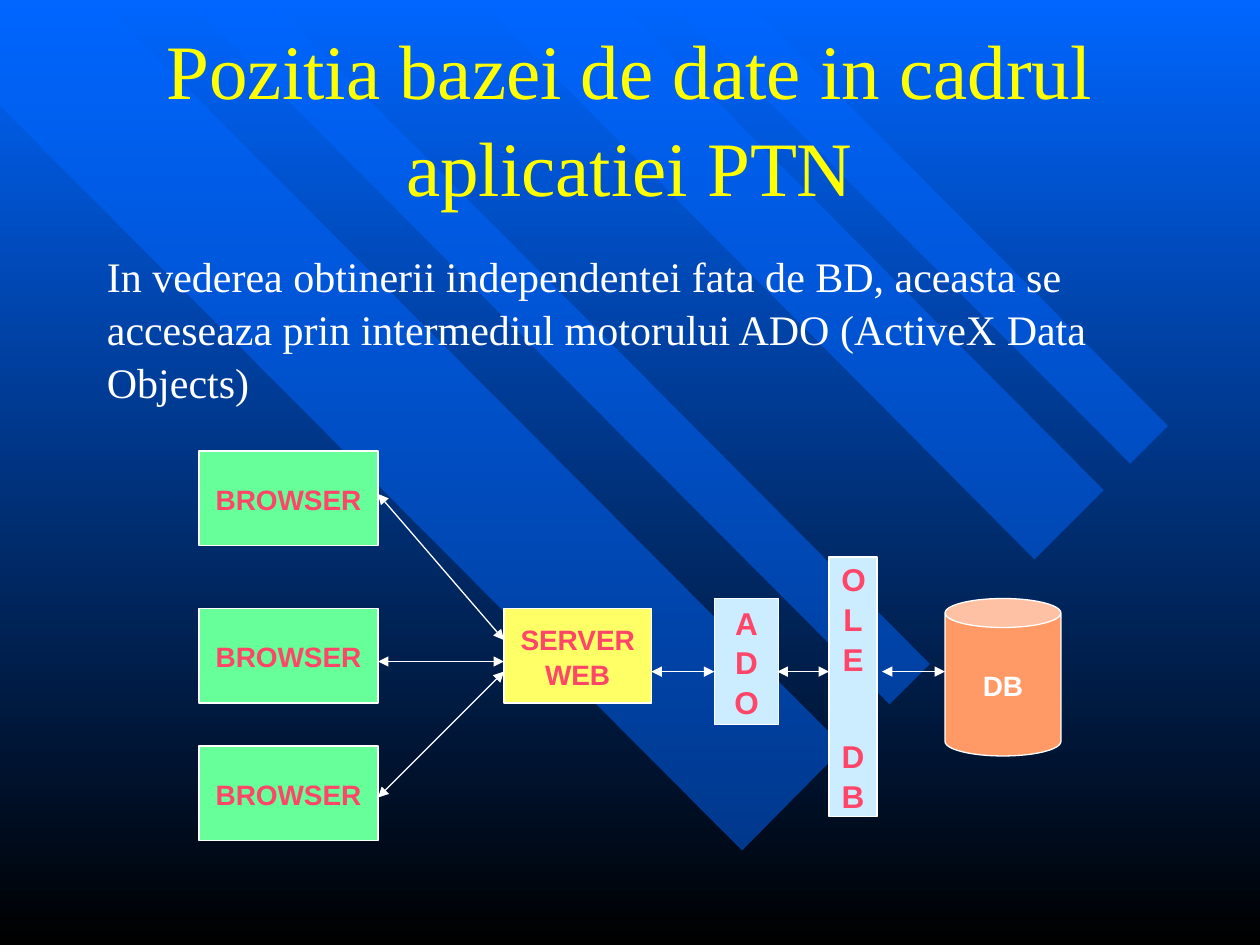
from dataclasses import dataclass

from lxml import etree
from pptx import Presentation
from pptx import util as u
from pptx.dml.color import RGBColor
from pptx.enum import shapes, text
from pptx.oxml.ns import qn


@dataclass(frozen=True)
class Theme:
    blue: str = "0066FF"
    black: str = "000000"
    white: str = "FFFFFF"
    title: str = "FFFF00"
    label: str = "FF4568"
    browser: str = "66FF99"
    server: str = "FFFF66"
    layer: str = "CCECFF"
    database: str = "FF9966"
    serif: str = "Times New Roman"
    sans: str = "Arial"
    title_size: float = 44
    body_size: float = 24
    box_size: float = 16
    layer_size: float = 18
    line_width: float = 0.75
    line_spacing: float = 1.05
    stripe_alpha: int = 50


class SlideBuilder:
    def __init__(self, slide, theme):
        self.slide = slide
        self.theme = theme

    def background(self):
        fill = self.slide.background.fill
        fill.gradient()
        fill.gradient_angle = 270
        for stop, color in zip(fill.gradient_stops, (self.theme.blue, self.theme.black)):
            stop.color.rgb = RGBColor.from_string(color)

    def stripe(self, points):
        """Draw a translucent diagonal band through points in inches."""
        start, *rest = [(u.Inches(x), u.Inches(y)) for x, y in points]
        builder = self.slide.shapes.build_freeform(*start)
        builder.add_line_segments(rest, close=True)
        sp = builder.convert_to_shape()
        sp.shadow.inherit = False
        sp.fill.solid()
        sp.fill.fore_color.rgb = RGBColor.from_string(self.theme.blue)
        color = sp._element.spPr.find(qn("a:solidFill"))[0]
        etree.SubElement(color, qn("a:alpha"), val=str(self.theme.stripe_alpha * 1000))
        sp.line.fill.background()

    def add_text(self, sp, lines, size, color, font, align, anchor, wrap,
                 bold=False, gap=0):
        tf = sp.text_frame
        tf.word_wrap = wrap
        tf.vertical_anchor = anchor
        for i, line in enumerate(lines):
            p = tf.paragraphs[0] if i == 0 else tf.add_paragraph()
            p.alignment = align
            p.line_spacing = self.theme.line_spacing
            if i and gap:
                p.space_before = u.Pt(gap)
            r = p.add_run()
            r.text = line
            r.font.size = u.Pt(size)
            r.font.name = font
            r.font.bold = bold
            r.font.color.rgb = RGBColor.from_string(color)

    def text_box(self, at, content, size, color, align, anchor):
        sp = self.slide.shapes.add_textbox(*map(u.Inches, at))
        self.add_text(sp, [content], size, color, self.theme.serif, align, anchor, True)

    def box(self, at, lines, fill, color=None, size=None, wrap=False, gap=0,
            kind=shapes.MSO_SHAPE.RECTANGLE):
        sp = self.slide.shapes.add_shape(kind, *map(u.Inches, at))
        sp.shadow.inherit = False
        sp.fill.solid()
        sp.fill.fore_color.rgb = RGBColor.from_string(fill)
        sp.line.color.rgb = RGBColor.from_string(self.theme.white)
        sp.line.width = u.Pt(self.theme.line_width)
        self.add_text(sp, lines, size or self.theme.box_size, color or self.theme.label,
                      self.theme.sans, text.PP_ALIGN.CENTER, text.MSO_ANCHOR.MIDDLE,
                      wrap, bold=True, gap=gap)
        return sp

    def layer(self, at, lines, gap=0):
        """Draw a narrow box whose text wraps to one letter a line."""
        sp = self.box(at, lines, self.theme.layer, size=self.theme.layer_size,
                      wrap=True, gap=gap)
        sp.text_frame.auto_size = text.MSO_AUTO_SIZE.SHAPE_TO_FIT_TEXT

    def double_arrow(self, start, end):
        line = self.slide.shapes.add_connector(
            shapes.MSO_CONNECTOR.STRAIGHT, *map(u.Inches, (*start, *end)))
        line.line.color.rgb = RGBColor.from_string(self.theme.white)
        line.line.width = u.Pt(self.theme.line_width)
        sp_pr = line._element.spPr
        ln = sp_pr.find(qn("a:ln"))
        for tag in ("a:headEnd", "a:tailEnd"):
            etree.SubElement(ln, qn(tag), type="triangle")
        etree.SubElement(sp_pr, qn("a:effectLst"))


def main():
    prs = Presentation()
    prs.slide_width, prs.slide_height = u.Inches(10), u.Inches(7.5)
    theme = Theme()
    s = SlideBuilder(prs.slides.add_slide(prs.slide_layouts[6]), theme)

    s.background()
    for points in (
        [(6.7, 5.93), (0.79, 0), (0, 0), (0, 0.84), (5.89, 6.75)],
        [(2.14, 0), (7.38, 5.27), (7.06, 5.59), (1.49, 0)],
        [(4.89, 0), (8.76, 3.89), (8.21, 4.44), (3.8, 0)],
        [(5.3, 0), (8.97, 3.68), (9.27, 3.38), (5.91, 0)],
    ):
        s.stripe(points)

    s.text_box((0.75, 0.25, 8.5, 1.33), "Pozitia bazei de date in cadrul aplicatiei PTN",
               theme.title_size, theme.title, text.PP_ALIGN.CENTER,
               text.MSO_ANCHOR.MIDDLE)
    s.text_box((0.75, 1.92, 8.92, 1.3),
               "In vederea obtinerii independentei fata de BD, aceasta se acceseaza "
               "prin intermediul motorului ADO (ActiveX Data Objects)",
               theme.body_size, theme.white, text.PP_ALIGN.LEFT, text.MSO_ANCHOR.TOP)

    for top in (3.58, 4.83, 5.92):
        s.box((1.58, top, 1.42, 0.75), ["BROWSER"], theme.browser)
    s.box((4, 4.83, 1.17, 0.75), ["SERVER", "WEB"], theme.server)
    s.layer((5.67, 4.75, 0.51, 1), ["ADO"])
    s.layer((6.58, 4.42, 0.38, 2.06), ["OLE", "DB"], gap=33)
    s.box((7.5, 4.75, 0.92, 1.25), ["DB"], theme.database, color=theme.white,
          kind=shapes.MSO_SHAPE.CAN)

    for browser_y, server_y in ((3.92, 5.08), (5.25, 5.25), (6.33, 5.33)):
        s.double_arrow((3, browser_y), (4, server_y))
    for left, right in ((5.17, 5.67), (6.17, 6.58), (7, 7.5)):
        s.double_arrow((left, 5.33), (right, 5.33))

    prs.save("out.pptx")


if __name__ == "__main__":
    main()
